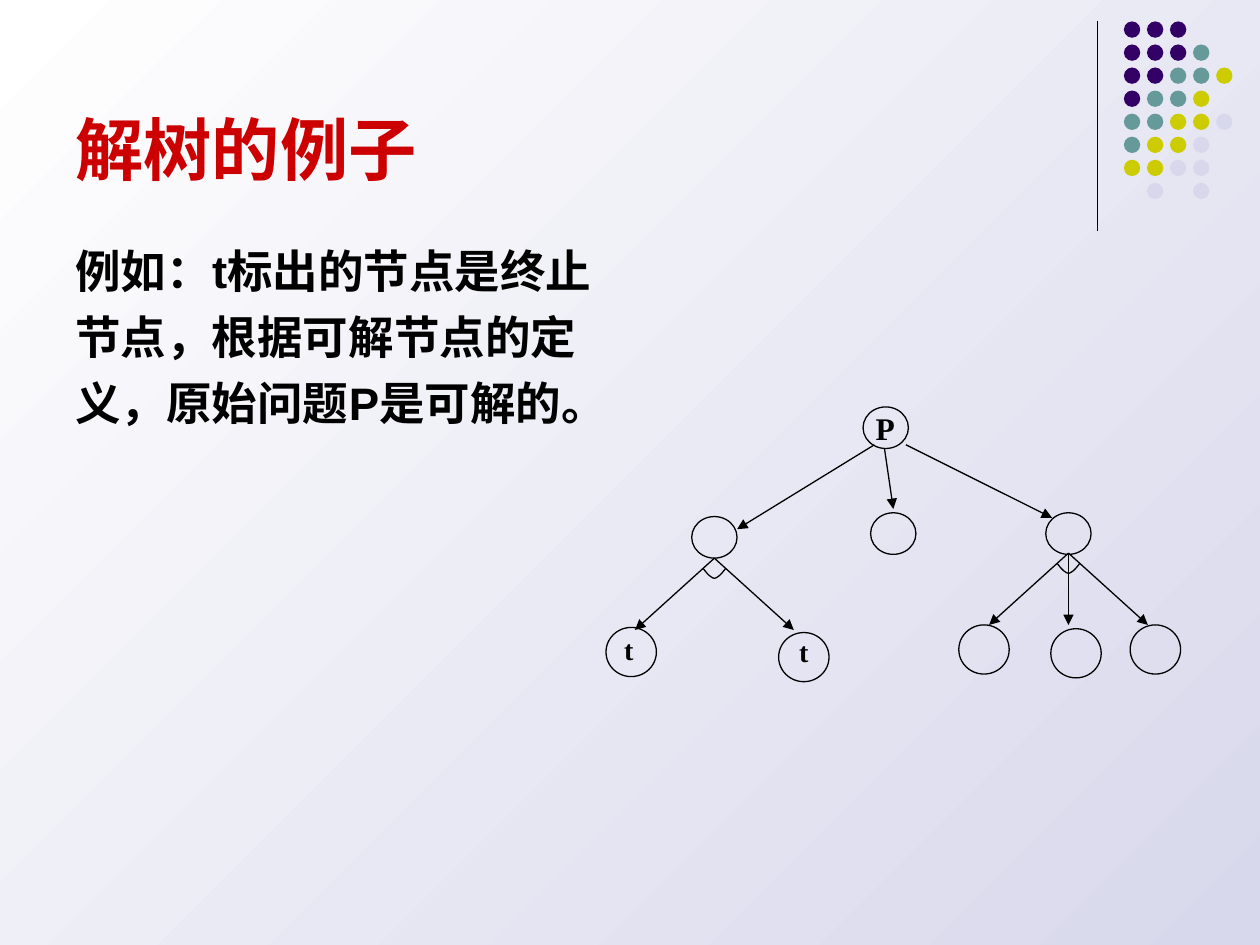
from dataclasses import dataclass

from pptx import Presentation
from pptx.dml.color import RGBColor
from pptx.enum.shapes import MSO_CONNECTOR, MSO_SHAPE
from pptx.enum.text import MSO_ANCHOR, PP_ALIGN
from pptx.oxml.xmlchemy import OxmlElement
from pptx.util import Inches, Pt

COLORS = {
    "black": "000000",
    "title": "CC0000",
    "purple": "330066",
    "teal": "669999",
    "yellow": "CCCC00",
    "pale": "D8D8EC",
    "white": "FFFFFF",
}
DOT_COLORS = {"P": "purple", "T": "teal", "Y": "yellow", "L": "pale"}
DOT_ROWS = ["PPP", "PPPT", "PPTTY", "PTTY", "TTYYL", "TYYL", "YYLL", " L L"]
BODY_LINES = ["例如：t标出的节点是终止", "节点，根据可解节点的定", "义，原始问题P是可解的。"]


@dataclass
class Box:
    """A region of the slide, in inches."""

    left: float
    top: float
    width: float
    height: float

    def inner(self, left, top, width, height):
        """Return a box placed relative to this one."""
        return Box(self.left + left, self.top + top, width, height)

    def lengths(self):
        """Return the four lengths for python-pptx."""
        return [Inches(n) for n in (self.left, self.top, self.width, self.height)]


def color(name):
    """Return a named colour."""
    return RGBColor.from_string(COLORS[name])


def set_outline(line):
    """Give a line the thin black stroke."""
    line.color.rgb = color("black")
    line.width = Pt(0.75)


def add_line(shapes, box, start, end, arrow=True):
    """Draw a straight line between two points of the box."""
    ends = [Inches(n) for x, y in (start, end) for n in (box.left + x, box.top + y)]
    connector = shapes.add_connector(MSO_CONNECTOR.STRAIGHT, *ends)
    set_outline(connector.line)
    if arrow:
        head = OxmlElement("a:tailEnd")
        head.set("type", "triangle")
        connector.line._get_or_add_ln().append(head)
    connector._element.spPr.append(OxmlElement("a:effectLst"))


def add_circle(shapes, box, fill=None):
    """Draw a filled dot or an outlined node."""
    circle = shapes.add_shape(MSO_SHAPE.OVAL, *box.lengths())
    circle.shadow.inherit = False
    if fill:
        circle.fill.solid()
        circle.fill.fore_color.rgb = color(fill)
        circle.line.fill.background()
    else:
        circle.fill.background()
        set_outline(circle.line)


def add_text(shapes, box, lines, size, font="Arial", ink="black", wrap=True):
    """Add a bold text box and return its frame."""
    frame = shapes.add_textbox(*box.lengths()).text_frame
    frame.word_wrap = wrap
    frame.text = "\n".join(lines)
    for para in frame.paragraphs:
        for span in para.runs:
            span.font.name = font
            span.font.size = Pt(size)
            span.font.bold = True
            span.font.color.rgb = color(ink)
    return frame


def add_arc(shapes, box, apex):
    """Draw the AND arc below a branching point."""
    x, y = box.left + apex[0], box.top + apex[1] + 0.08
    steps = 16
    points = []
    for step in range(steps + 1):
        t = 2 * step / steps - 1
        rise = 0.08 * (1 - abs(t) ** 1.6)
        points.append((Inches(x + 0.09 * t), Inches(y + rise)))
    builder = shapes.build_freeform(*points[0])
    builder.add_line_segments(points[1:], close=False)
    arc = builder.convert_to_shape()
    arc.shadow.inherit = False
    arc.fill.background()
    set_outline(arc.line)


def add_background(page):
    """Fill the page with the diagonal gradient."""
    fill = page.background.fill
    fill.gradient()
    fill.gradient_angle = 135
    for stop, name in zip(fill.gradient_stops, ("pale", "white")):
        stop.color.rgb = color(name)


def add_ornament(page, box):
    """Draw the corner rule and the grid of dots."""
    add_line(page.shapes, box, (0, 0), (0, box.height), arrow=False)
    dots = page.shapes.add_group_shape().shapes
    size, pitch, margin = 0.13, 0.183, 0.21
    for row, marks in enumerate(DOT_ROWS):
        for column, mark in enumerate(marks):
            if mark in DOT_COLORS:
                dot = box.inner(margin + column * pitch, row * pitch, size, size)
                add_circle(dots, dot, DOT_COLORS[mark])


def add_title(page, box):
    """Write the slide title."""
    frame = add_text(page.shapes, box, ["解树的例子"], 39, ink="title")
    frame.vertical_anchor = MSO_ANCHOR.BOTTOM


def add_body(page, box):
    """Write the explanation with hanging indents."""
    frame = add_text(page.shapes, box, BODY_LINES, 26)
    for index, para in enumerate(frame.paragraphs):
        properties = para._p.get_or_add_pPr()
        properties.set("marL", str(Inches(0.38)))
        properties.set("indent", str(Inches(-0.38)))
        if index:
            para.space_before = Pt(6.5)


def add_tree(page, box):
    """Draw the solution tree."""
    shapes = page.shapes.add_group_shape().shapes
    for left, top in [(2.05, 0.03), (0.69, 0.9), (2.11, 0.87), (3.5, 0.87)]:
        add_circle(shapes, box.inner(left, top, 0.36, 0.33))
    leaves = [(0.01, 1.78), (1.38, 1.82), (2.81, 1.76), (3.54, 1.79), (4.17, 1.76)]
    for left, top in leaves:
        add_circle(shapes, box.inner(left, top, 0.4, 0.39))

    root_edges = [
        ((2.14, 0.33), (1.05, 1)),
        ((2.22, 0.36), (2.29, 0.84)),
        ((2.39, 0.33), (3.55, 0.91)),
    ]
    for start, end in root_edges:
        add_line(shapes, box, start, end)

    for apex, spreads in [((0.87, 1.23), (-0.63, 0.63)), ((3.68, 1.19), (-0.63, 0, 0.63))]:
        for spread in spreads:
            add_line(shapes, box, apex, (apex[0] + spread, apex[1] + 0.57))
        add_arc(shapes, box, apex)

    labels = [("P", 18, 2.05, 0, 0.35, 0.4), ("t", 16, -0.03, 1.77, 0.44, 0.37),
              ("t", 16, 1.36, 1.79, 0.44, 0.37)]
    for text, size, *place in labels:
        frame = add_text(shapes, box.inner(*place), [text], size, "Times New Roman", wrap=False)
        frame.paragraphs[0].alignment = PP_ALIGN.CENTER


def main():
    """Build and save the slide."""
    deck = Presentation()
    deck.slide_width, deck.slide_height = Inches(10), Inches(7.5)
    page = deck.slides.add_slide(deck.slide_layouts[6])
    add_background(page)
    add_ornament(page, Box(8.71, 0.17, 1.07, 1.66))
    add_title(page, Box(0.5, 0.13, 8.25, 1.42))
    add_body(page, Box(0.5, 1.88, 4.42, 4.82))
    add_tree(page, Box(4.8, 3.2, 4.57, 2.21))
    deck.save("out.pptx")


if __name__ == "__main__":
    main()
